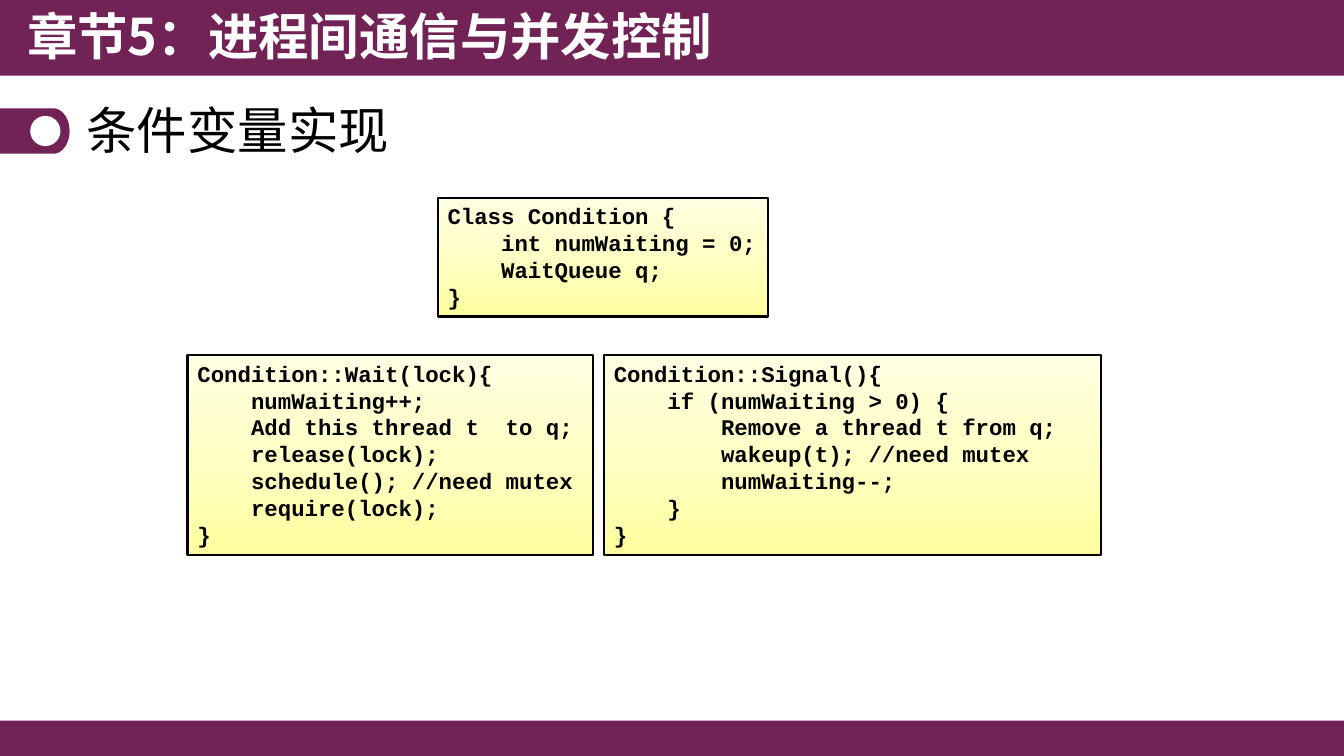
from copy import deepcopy
from math import cos, pi, sin

from lxml import etree
from pptx import Presentation
from pptx.dml.color import RGBColor
from pptx.enum.shapes import MSO_SHAPE
from pptx.enum.text import MSO_ANCHOR, PP_ALIGN
from pptx.oxml.ns import qn
from pptx.util import Inches, Pt

# Content
CHAPTER = "章节5：进程间通信与并发控制"
TITLE = "条件变量实现"
CLASS = """Class Condition {
    int numWaiting = 0;
    WaitQueue q;
}"""
WAIT = """Condition::Wait(lock){
    numWaiting++;
    Add this thread t  to q;
    release(lock);
    schedule(); //need mutex
    require(lock);
}"""
SIGNAL = """Condition::Signal(){
    if (numWaiting > 0) {
        Remove a thread t from q;
        wakeup(t); //need mutex
        numWaiting--;
    }
}"""

# Style
PLUM = RGBColor(0x71, 0x23, 0x55)
WHITE = RGBColor(0xFF, 0xFF, 0xFF)
BLACK = RGBColor(0, 0, 0)
PALE = [RGBColor(0xFF, 0xFF, b) for b in (0xA0, 0xC5, 0xE3)]
SANS, MONO = "Noto Sans CJK SC", "Courier New"
RECT, OVAL = MSO_SHAPE.RECTANGLE, MSO_SHAPE.OVAL
TOP, MIDDLE, LEFT = MSO_ANCHOR.TOP, MSO_ANCHOR.MIDDLE, PP_ALIGN.LEFT

# Layout in inches
WIDTH, HEIGHT = 13.33, 7.5
HEAD, FOOT = 0.75, 0.35
ROW, PAD = 0.27, 0.1
LOW, GAP = 3.52, 0.11
WAIT_X, WAIT_W, SIGNAL_W = 1.86, 4.02, 4.93
CODES = [
    (WAIT, WAIT_X, LOW, WAIT_W),
    (SIGNAL, WAIT_X + WAIT_W + GAP, LOW, SIGNAL_W),
    (CLASS, 4.34, 1.96, 3.28),
]

prs = Presentation()
prs.slide_width, prs.slide_height = Inches(WIDTH), Inches(HEIGHT)
slide = prs.slides.add_slide(prs.slide_layouts[6])
shapes = slide.shapes


def paint(shape, color):
    shape.shadow.inherit = False
    shape.fill.solid()
    shape.fill.fore_color.rgb = color
    shape.line.fill.background()


def block(kind, color, *box):
    shape = shapes.add_shape(kind, *map(Inches, box))
    paint(shape, color)
    return shape


def write(frame, text, font, size, color, bold, anchor=TOP, space=None):
    frame.vertical_anchor = anchor
    for i, line in enumerate(text.split("\n")):
        para = frame.paragraphs[0] if i == 0 else frame.add_paragraph()
        para.alignment = LEFT
        para.line_spacing = space
        run = para.add_run()
        run.text = line
        face = run.font
        face.name, face.size, face.bold = font, Pt(size), bold
        face.color.rgb = color
        east = etree.SubElement(run._r.get_or_add_rPr(), qn("a:ea"))
        east.set("typeface", font)


def label(text, box, color, bold, **style):
    frame = shapes.add_textbox(*map(Inches, box)).text_frame
    frame.word_wrap = True
    write(frame, text, SANS, 36, color, bold, **style)


def code(text, left, top, width):
    high = ROW * len(text.split("\n")) + PAD
    shape = block(RECT, WHITE, left, top, width, high)
    shape.line.color.rgb = BLACK
    shape.line.width = Pt(1.5)
    # Three-stop gradient rising from the lower edge
    fill = shape.fill
    fill.gradient()
    fill.gradient_angle = 90
    first = fill.gradient_stops[0]._gs
    mid = deepcopy(first)
    mid.set("pos", "50000")
    first.addnext(mid)
    for stop, color in zip(fill.gradient_stops, PALE):
        stop.color.rgb = color
    shape.text_frame.word_wrap = True
    write(shape.text_frame, text, MONO, 16, BLACK, True)


# Bands and chapter heading
block(RECT, PLUM, 0, HEIGHT - FOOT, WIDTH, FOOT)
block(RECT, PLUM, 0, 0, WIDTH, HEAD)

# Marker: a bar with a rounded end and a white dot
MID, HALF, NECK, BULGE, STEPS = 1.3, 0.225, 0.53, 0.16, 24
turns = [pi * (i / STEPS - 0.5) for i in range(STEPS + 1)]
edge = [(NECK + BULGE * cos(t), MID + HALF * sin(t)) for t in turns]
edge.append((0, MID + HALF))
path = shapes.build_freeform(0, Inches(MID - HALF))
path.add_line_segments([(Inches(x), Inches(y)) for x, y in edge], close=True)
paint(path.convert_to_shape(), PLUM)
block(OVAL, WHITE, 0.3, MID - 0.15, 0.3, 0.3)

label(CHAPTER, (0.17, 0, 7.44, 0.77), WHITE, True)

# Code boxes
for item in CODES:
    code(*item)

# Slide title
label(TITLE, (0.76, 0.95, 11.81, 0.74), BLACK, False, anchor=MIDDLE, space=0.9)

prs.save("out.pptx")
